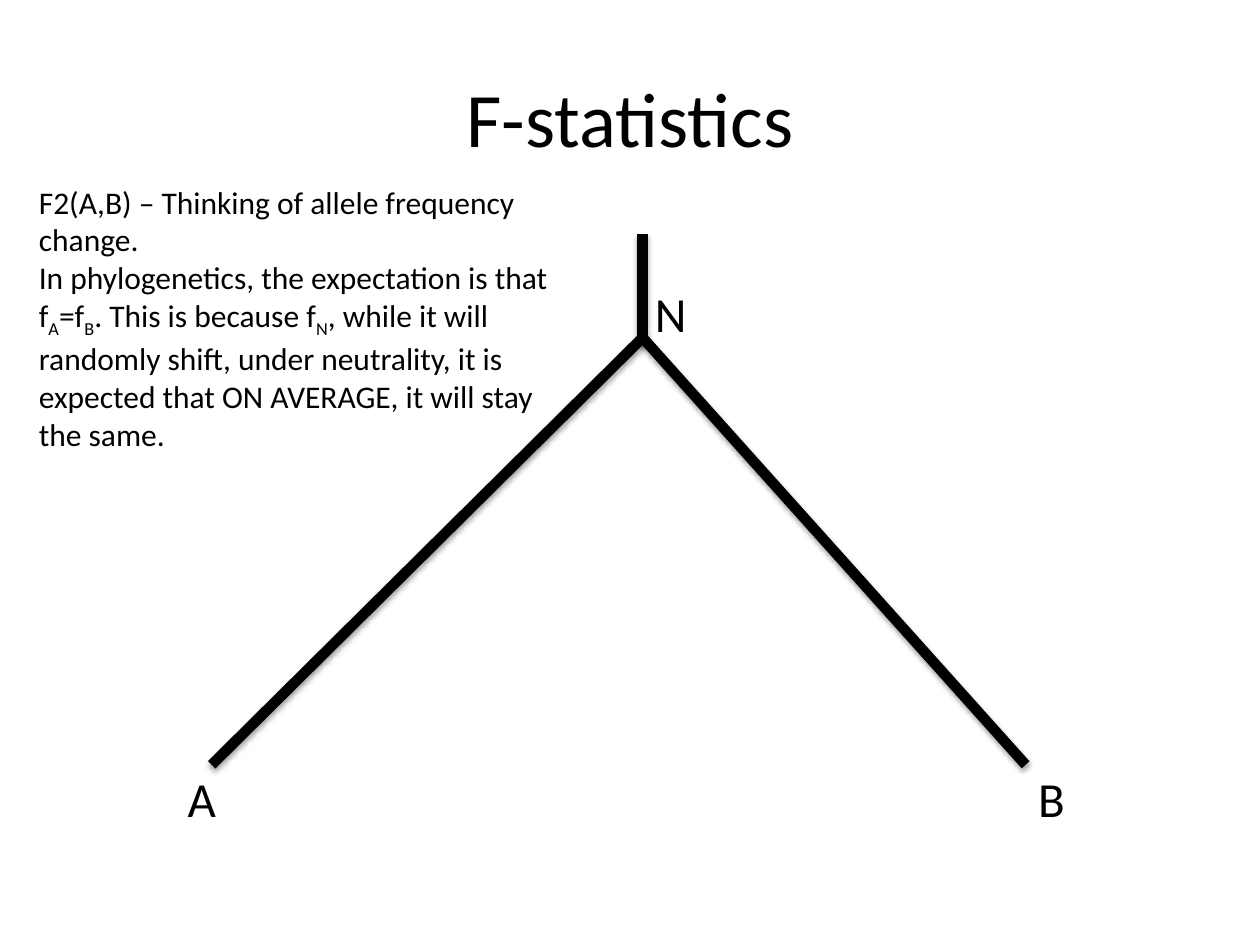
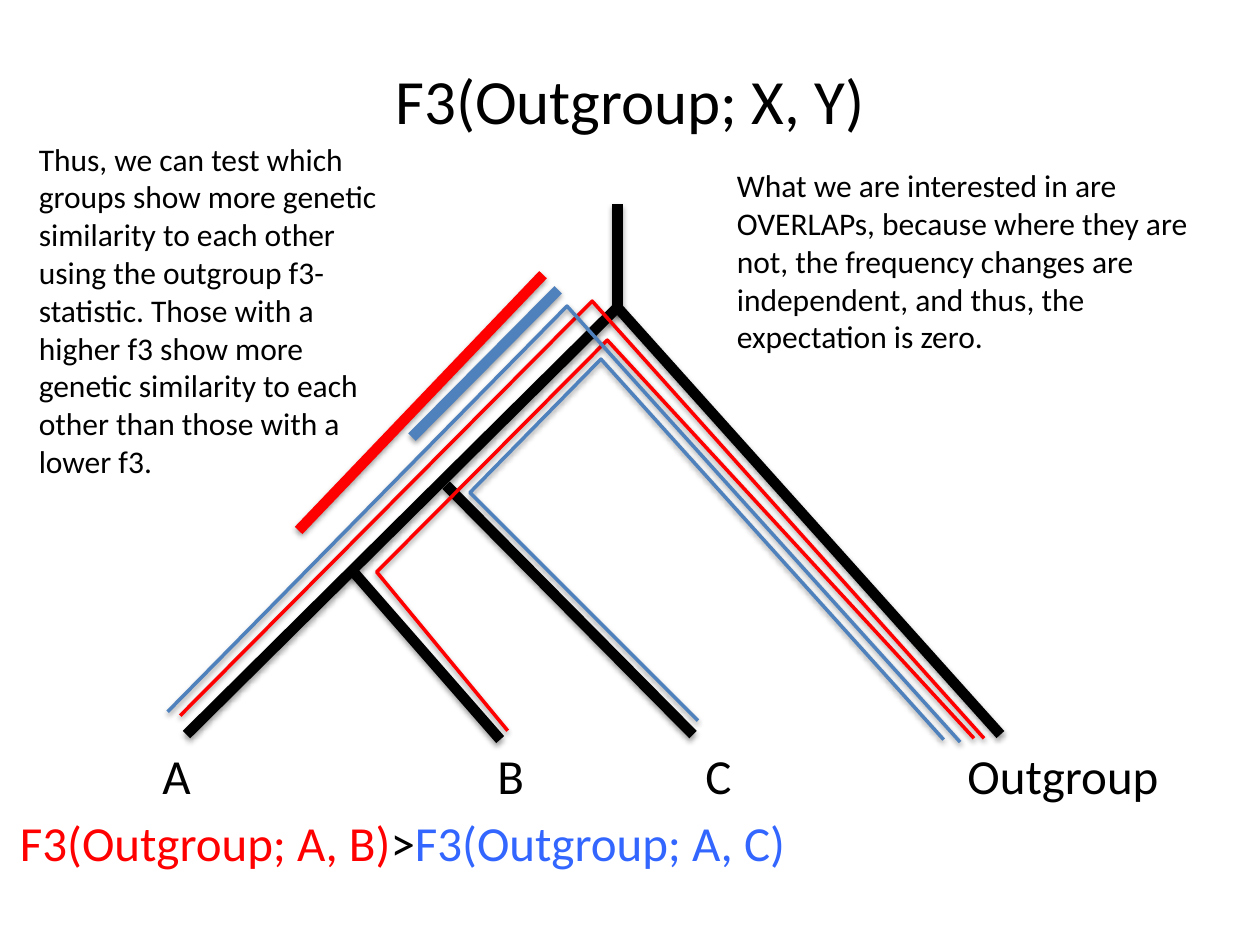
from lxml import etree
from pptx import Presentation
from pptx.dml.color import RGBColor
from pptx.enum.shapes import MSO_CONNECTOR
from pptx.enum.text import MSO_ANCHOR, MSO_AUTO_SIZE, PP_ALIGN
from pptx.oxml.ns import qn
from pptx.util import Inches, Pt

STRAIGHT = MSO_CONNECTOR.STRAIGHT
MIDDLE = MSO_ANCHOR.MIDDLE
GROW = MSO_AUTO_SIZE.SHAPE_TO_FIT_TEXT
CENTER = PP_ALIGN.CENTER

COLORS = {"black": "000000", "red": "FF0000", "blue": "4F81BD", "bright": "3366FF"}
FONT = "Calibri"
COLS, ROWS = 100, 75
CELL = Inches(10) // COLS
TITLE_ONLY = 5
LABEL_SIZE, NOTE_SIZE = 28, 18
BRANCH_WIDTH, ROUTE_WIDTH = 6, 2
LABEL_BOX = (10, 5.7)

ROOT, NODE, TRUNK_END = (34.2, 0), (34.2, 8.2), (34.2, 8.6)
LEFT_TIP, RIGHT_TIP = (0, 42.1), (64.6, 42.1)
TRUNK = [(ROOT, TRUNK_END), (NODE, LEFT_TIP), (NODE, RIGHT_TIP)]


def grid(*cells):
    """Turn grid cells into slide lengths."""
    return [round(c * CELL) for c in cells]


def rgb(name):
    """Look up a named colour."""
    return RGBColor.from_string(COLORS[name])


def add_shadow(sp):
    """Give a line shape its soft drop shadow."""
    effects = etree.SubElement(sp.element.spPr, qn("a:effectLst"))
    shadow = etree.SubElement(effects, qn("a:outerShdw"), blurRad="40000",
                              dist="20000", dir="5400000", rotWithShape="0")
    color = etree.SubElement(shadow, qn("a:srgbClr"), val=COLORS["black"])
    etree.SubElement(color, qn("a:alpha"), val="38000")


def style_line(sp, color, width):
    """Set the colour, width and shadow of a line shape."""
    sp.line.color.rgb = rgb(color)
    sp.line.width = Pt(width)
    add_shadow(sp)


def place(origin, point):
    """Place a point relative to a box origin."""
    return grid(origin[0] + point[0], origin[1] + point[1])


def add_branch(shapes, origin, start, end, color="black"):
    """Draw one thick straight branch."""
    c = shapes.add_connector(STRAIGHT, *place(origin, start), *place(origin, end))
    style_line(c, color, BRANCH_WIDTH)


def add_route(slide, origin, points, color):
    """Draw one thin path that follows the tree."""
    first, *rest = [place(origin, pt) for pt in points]
    builder = slide.shapes.build_freeform(*first)
    builder.add_line_segments(rest, close=False)
    sp = builder.convert_to_shape()
    sp.fill.background()
    style_line(sp, color, ROUTE_WIDTH)


def add_run(p, text, size, color="black", subscript=False):
    """Append one formatted run to a paragraph."""
    r = p.add_run()
    r.text = text
    for name, value in {"name": FONT, "size": Pt(size)}.items():
        setattr(r.font, name, value)
    r.font.color.rgb = rgb(color)
    if subscript:
        r._r.get_or_add_rPr().set("baseline", "-25000")


def add_text(slide, box, paragraphs, size):
    """Add a wrapping text box from paragraphs of runs."""
    tf = slide.shapes.add_textbox(*grid(*box)).text_frame
    for name, value in {"word_wrap": True, "auto_size": GROW}.items():
        setattr(tf, name, value)
    for i, runs in enumerate(paragraphs):
        p = tf.paragraphs[0] if i == 0 else tf.add_paragraph()
        for text, fmt in runs:
            add_run(p, text, size, **fmt)


def add_note(slide, box, *paragraphs):
    """Add an explanatory note where _ wraps each subscript."""
    runs = [[(part, {"subscript": i % 2 == 1}) for i, part in enumerate(text.split("_"))]
            for text in paragraphs]
    add_text(slide, box, runs, NOTE_SIZE)


def add_tree(slide, origin, labels, branches=()):
    """Draw a grouped tree and its labels relative to its origin."""
    shapes = slide.shapes.add_group_shape().shapes
    for start, end in [*TRUNK, *branches]:
        add_branch(shapes, origin, start, end)
    for text, (x, y) in labels.items():
        w, h = LABEL_BOX
        w = max(w, 2.2 * len(text))
        add_text(slide, (origin[0] + x, origin[1] + y, w, h), [[(text, {})]], LABEL_SIZE)


def add_titled_slide(prs, title, height, size):
    """Add a slide with its title in the template placeholder."""
    slide = prs.slides.add_slide(prs.slide_layouts[TITLE_ONLY])
    sp = slide.shapes.title
    for name, value in zip(("left", "top", "width", "height"), grid(5, 3, 90, height)):
        setattr(sp, name, value)
    sp.text_frame.vertical_anchor = MIDDLE
    p = sp.text_frame.paragraphs[0]
    p.alignment = CENTER
    add_run(p, title, size)
    return slide


def build_f2(prs):
    """Build the slide on allele frequency change."""
    slide = add_titled_slide(prs, "F-statistics", 12.5, 44)
    add_tree(slide, (16.8, 18.6), {"B": (64.6, 41.9), "A": (-2.9, 41.9), "N": (34.2, 3.4)})
    add_note(slide, (2.1, 14, 43.5, 22.2),
             "F2(A,B) – Thinking of allele frequency change.",
             "In phylogenetics, the expectation is that f_A_=f_B_. This is because f_N_, "
             "while it will randomly shift, under neutrality, it is expected that "
             "ON AVERAGE, it will stay the same.")


def build_f3(prs):
    """Build the slide on the outgroup comparison."""
    slide = add_titled_slide(prs, "F3(Outgroup; X, Y)", 9.7, 36)
    origin = (14.8, 16.2)
    tips = {"Outgroup": 61, "C": 40.2, "B": 23.7, "A": -2.9}
    add_tree(slide, origin, {text: (x, 42.5) for text, x in tips.items()},
             [((13, 28.9), (24.9, 42.5)), ((20.6, 22.3), (40.2, 42.1))])
    formula = [("F3(Outgroup; A, B)", {"color": "red"}), (">", {}),
               ("F3(Outgroup; A, C)", {"color": "bright"})]
    add_text(slide, (0.6, 64, 94.4, 5.7), [formula], LABEL_SIZE)
    routes = [
        ("red", [(63.3, 42.4), (32.2, 7.7), (-0.5, 40.6)]),
        ("red", [(62.5, 42.4), (33.4, 10.8), (15.1, 29.2), (25.5, 41.8)]),
        ("blue", [(61.4, 42.7), (30.2, 8.1), (-1.5, 40.3)]),
        ("blue", [(60.1, 42.5), (32.9, 12.3), (22.5, 22.9), (40.6, 41)]),
    ]
    for color, points in routes:
        add_route(slide, origin, points, color)
    add_branch(slide.shapes, origin, (29.5, 6.8), (17.9, 18.5), "blue")
    add_branch(slide.shapes, origin, (28.3, 5.6), (8.9, 25.9), "red")
    add_note(slide, (57.5, 12.7, 39.6, 16.2),
             "What we are interested in are OVERLAPs, because where they are not, the "
             "frequency changes are independent, and thus, the expectation is zero.")
    add_note(slide, (2.1, 10.6, 30.6, 28.3),
             "Thus, we can test which groups show more genetic similarity to each other "
             "using the outgroup f3-statistic. Those with a higher f3 show more genetic "
             "similarity to each other than those with a lower f3.")


def main():
    """Build and save the presentation."""
    prs = Presentation()
    prs.slide_width, prs.slide_height = grid(COLS, ROWS)
    build_f2(prs)
    build_f3(prs)
    prs.save("out.pptx")


if __name__ == "__main__":
    main()
